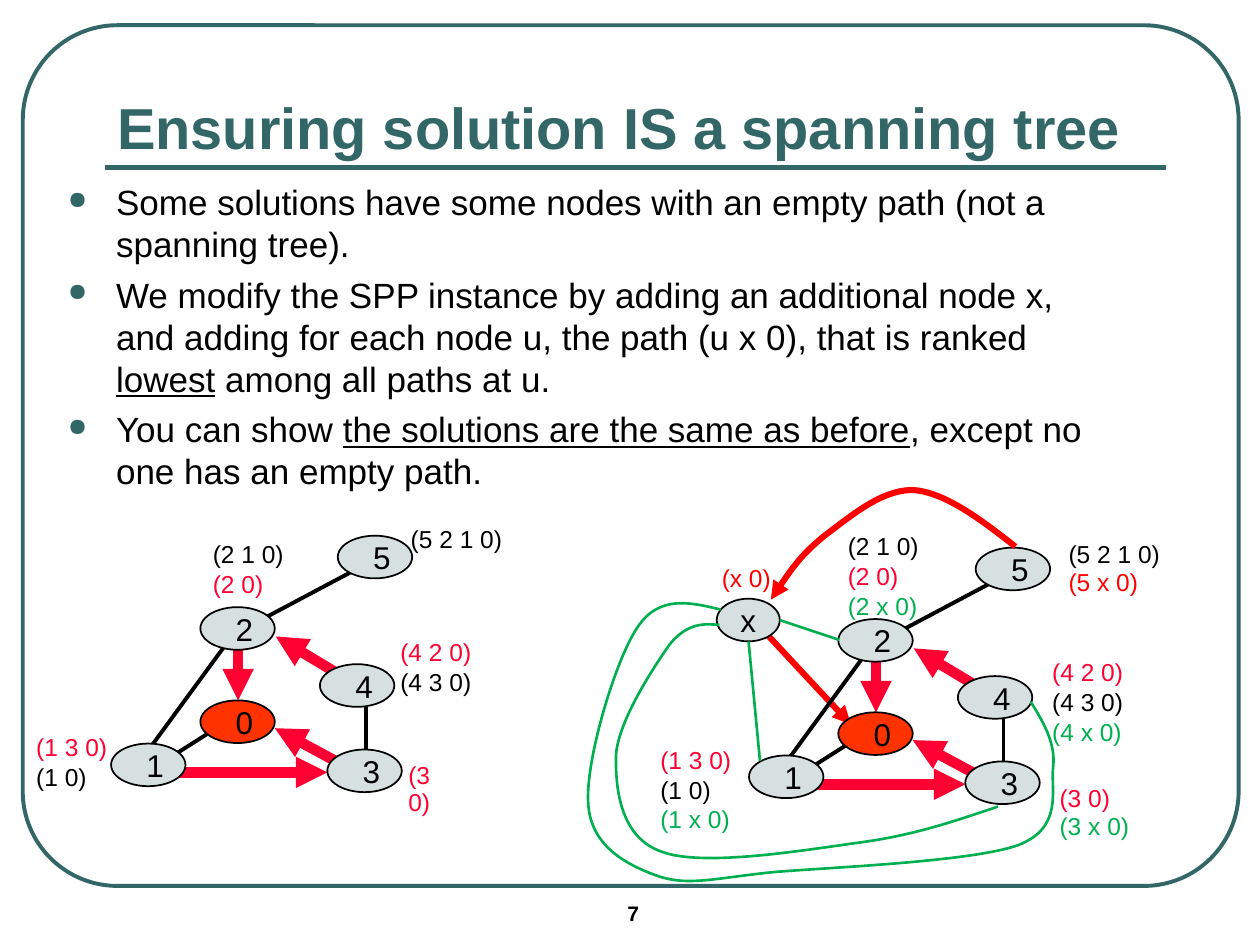
from dataclasses import dataclass

from lxml.etree import SubElement
from pptx import Presentation
from pptx.dml.color import RGBColor
from pptx.enum.shapes import MSO_CONNECTOR, MSO_SHAPE
from pptx.enum.text import MSO_ANCHOR, MSO_AUTO_SIZE, PP_ALIGN
from pptx.oxml.ns import qn
from pptx.util import Cm, Pt


@dataclass(frozen=True)
class Theme:
    font: str = "Arial"
    teal: str = "336666"
    black: str = "000000"
    node: str = "D6E0E0"
    root: str = "FF3300"
    crimson: str = "FF0033"
    red: str = "FF0000"
    green: str = "00B050"
    title_size: int = 33
    body_size: int = 20
    node_size: int = 18
    label_size: int = 14
    page_size: int = 12


THEME = Theme()

# Lengths below are centimetres; the second graph is the first one shifted.
SECOND_GRAPH = (12.86, 0.24)
NODE_SIZE = (1.5, 0.86)
NODES = {"5": (6.81, 10.8), "0": (4.04, 14.12), "3": (6.6, 15.11),
         "4": (6.45, 13.39), "2": (4.04, 12.24), "1": (2.24, 14.99)}
EDGES = [((5.16, 12.55), (7.42, 11.35)), ((7.37, 13.97), (7.37, 15.57)),
         ((4.67, 12.83), (3.0, 15.11)), ((4.8, 14.4), (3.43, 15.27))]
CHOSEN_EDGES = [((7.21, 13.82), (5.56, 12.83)), ((4.8, 12.83), (4.8, 14.12)),
                ((6.91, 15.42), (5.54, 14.68)), ((3.28, 15.57), (6.6, 15.57))]

# Path labels: position, lines with colours, line spacing after the first line
K, C, R, G = THEME.black, THEME.crimson, THEME.red, THEME.green
LABELS = [
    ((8.03, 10.49), [("(5 2 1 0)", K)], 1),
    ((4.04, 10.8), [("(2 1 0)", K), ("(2 0)", C)], 1),
    ((0.48, 14.68), [("(1 3 0)", C), ("(1 0)", K)], 1),
    ((7.98, 15.24), [("(3 0)", C)], 1),
    ((7.82, 12.78), [("(4 2 0)", C), ("(4 3 0)", K)], 1),
    ((21.29, 10.8), [("(5 2 1 0)", K), ("(5 x 0)", R)], 0.93),
    ((16.84, 10.64), [("(2 1 0)", K), ("(2 0)", C), ("(2 x 0)", G)], 1),
    ((13.06, 14.94), [("(1 3 0)", C), ("(1 0)", K), ("(1 x 0)", G)], 1),
    ((21.11, 15.72), [("(3 0)", C), ("(3 x 0)", G)], 0.93),
    ((20.96, 13.18), [("(4 2 0)", C), ("(4 3 0)", K), ("(4 x 0)", G)], 1),
    ((14.3, 11.28), [("(x 0)", R)], 1),
]

# Curves: start point, then two control points and an end point per segment
CURVE_5_TO_X = [
    (20.47, 11.02), (19.76, 10.46), (19.05, 9.93), (18.42, 9.88),
    (17.78, 9.86), (17.15, 10.41), (16.66, 10.77),
    (16.18, 11.15), (15.85, 11.61), (15.54, 12.09)]
CURVE_3_TO_X = [
    (20.12, 16.26), (19.28, 16.54), (18.44, 16.84), (17.3, 16.99),
    (16.15, 17.15), (14.15, 17.48), (13.34, 17.17),
    (12.52, 16.89), (12.4, 15.93), (12.42, 15.21),
    (12.47, 14.53), (13.18, 13.44), (13.51, 12.98),
    (13.87, 12.55), (14.2, 12.57), (14.5, 12.6)]
CURVE_4_TO_X = [
    (20.78, 14.15), (21.03, 14.55), (21.29, 14.99), (21.23, 15.47),
    (21.18, 15.93), (21.44, 16.69), (20.52, 17.04),
    (19.58, 17.37), (16.84, 17.48), (15.62, 17.58),
    (14.4, 17.7), (13.87, 17.88), (13.23, 17.65),
    (12.6, 17.42), (11.91, 17.04), (11.86, 16.21),
    (11.79, 15.37), (12.4, 13.31), (12.85, 12.65),
    (13.28, 11.99), (13.92, 12.14), (14.53, 12.29)]

# Bullets: runs with their underline state
BULLETS = [
    [("Some solutions have some nodes with an empty path (not a spanning tree).", False)],
    [("We modify the SPP instance by adding an additional node x, and adding "
      "for each node u, the path (u x 0), that is ranked ", False),
     ("lowest", True), (" among all paths at u.", False)],
    [("You can show ", False), ("the solutions are the same as before", True),
     (", except no one has an empty path.", False)],
]


def set_font(paragraph, size, color=THEME.black, bold=False):
    font = paragraph.font
    font.name, font.size, font.bold = THEME.font, Pt(size), bold
    font.color.rgb = RGBColor.from_string(color)


def style_line(shape, color, width, arrow=False):
    shape.line.color.rgb = RGBColor.from_string(color)
    shape.line.width = Pt(width)
    if arrow:
        SubElement(shape.line._get_or_add_ln(), qn("a:tailEnd"), type="triangle")


def add_line(slide, start, end, color, width, arrow=False, offset=(0, 0)):
    points = [Cm(value + shift) for point in (start, end)
              for value, shift in zip(point, offset)]
    connector = slide.shapes.add_connector(MSO_CONNECTOR.STRAIGHT, *points)
    style_line(connector, color, width, arrow)
    SubElement(connector._element.spPr, qn("a:effectLst"))


def add_curve(slide, points, color, width, arrow=False):
    corners = [(Cm(x), Cm(y)) for x, y in points]
    builder = slide.shapes.build_freeform(*corners[0])
    builder.add_line_segments(corners[1:], close=False)
    shape = builder.convert_to_shape()
    shape.shadow.inherit = False
    shape.fill.background()
    style_line(shape, color, width, arrow)
    # Merge each three straight steps into one Bézier segment
    outline = next(shape._element.iter(qn("a:moveTo"))).getparent()
    steps = outline.findall(qn("a:lnTo"))
    for first in range(0, len(steps), 3):
        bezier = SubElement(outline, qn("a:cubicBezTo"))
        for step in steps[first:first + 3]:
            bezier.append(step[0])
            outline.remove(step)


def add_node(slide, name, left, top, width=NODE_SIZE[0], fill=THEME.node, shift=0.28):
    shape = slide.shapes.add_shape(
        MSO_SHAPE.OVAL, Cm(left), Cm(top), Cm(width), Cm(NODE_SIZE[1]))
    shape.shadow.inherit = False
    shape.fill.solid()
    shape.fill.fore_color.rgb = RGBColor.from_string(fill)
    style_line(shape, THEME.black, 1)
    frame = shape.text_frame
    frame.word_wrap = False
    frame.vertical_anchor = MSO_ANCHOR.MIDDLE
    frame.margin_left, frame.margin_right = Cm(shift), 0
    frame.margin_top = frame.margin_bottom = 0
    paragraph = frame.paragraphs[0]
    paragraph.text = name
    paragraph.alignment = PP_ALIGN.CENTER
    set_font(paragraph, THEME.node_size)


def add_text(slide, left, top, width, height):
    frame = slide.shapes.add_textbox(Cm(left), Cm(top), Cm(width), Cm(height)).text_frame
    frame.word_wrap = True
    return frame


def add_label(slide, position, lines, spacing):
    width = 0.44 + 0.215 * max(len(text) for text, _ in lines)
    frame = add_text(slide, *position, width, 0.22 + 0.59 * len(lines))
    frame.word_wrap = False
    frame.auto_size = MSO_AUTO_SIZE.SHAPE_TO_FIT_TEXT
    for index, (text, color) in enumerate(lines):
        paragraph = frame.add_paragraph() if index else frame.paragraphs[0]
        paragraph.text = text
        paragraph.line_spacing = spacing if index else 0.93
        set_font(paragraph, THEME.label_size, color)


def add_bullets(slide):
    frame = add_text(slide, 1.12, 3.51, 21.39, 6.5)
    for index, runs in enumerate(BULLETS):
        paragraph = frame.add_paragraph() if index else frame.paragraphs[0]
        paragraph.space_before = Pt(5)
        set_font(paragraph, THEME.body_size)
        for text, underline in runs:
            run = paragraph.add_run()
            run.text = text
            if underline:
                run.font.underline = True
        properties = paragraph._p.get_or_add_pPr()
        properties.set("marL", str(Cm(0.97)))
        properties.set("indent", str(-Cm(0.97)))
        default_font = properties.find(qn("a:defRPr"))
        color = SubElement(properties, qn("a:buClr"))
        SubElement(color, qn("a:srgbClr"), val=THEME.teal)
        SubElement(properties, qn("a:buSzPct"), val="70000")
        SubElement(properties, qn("a:buChar"), char="●")
        properties.append(default_font)


def add_graph(slide, offset=(0, 0)):
    for start, end in EDGES:
        add_line(slide, start, end, THEME.black, 2.25, offset=offset)
    for start, end in CHOSEN_EDGES:
        add_line(slide, start, end, THEME.crimson, 6, True, offset)
    for name, (left, top) in NODES.items():
        add_node(slide, name, left + offset[0], top + offset[1],
                 fill=THEME.root if name == "0" else THEME.node)


def add_frame_and_title(slide):
    border = slide.shapes.add_shape(
        MSO_SHAPE.ROUNDED_RECTANGLE, Cm(0.46), Cm(0.51), Cm(24.51), Cm(17.35))
    border.adjustments[0] = 0.11
    border.shadow.inherit = False
    border.fill.background()
    style_line(border, THEME.teal, 2.25)
    add_line(slide, (2.11, 3.38), (23.5, 3.38), THEME.teal, 3)
    title = add_text(slide, 2.11, 1.47, 21.39, 1.9)
    title.vertical_anchor = MSO_ANCHOR.BOTTOM
    title.text = "Ensuring solution IS a spanning tree"
    set_font(title.paragraphs[0], THEME.title_size, THEME.teal, True)
    page = add_text(slide, 12.4, 18.03, 2.97, 0.84)
    page.text = "7"
    set_font(page.paragraphs[0], THEME.page_size, bold=True)


def main():
    presentation = Presentation()
    presentation.slide_width, presentation.slide_height = Cm(25.4), Cm(19.05)
    slide = presentation.slides.add_slide(presentation.slide_layouts[6])
    add_frame_and_title(slide)
    add_bullets(slide)
    # Graphs without and with the additional node x
    add_line(slide, (15.24, 12.55), (17.15, 14.6), THEME.red, 3.5, True)
    add_graph(slide)
    add_graph(slide, SECOND_GRAPH)
    for position, lines, spacing in LABELS:
        add_label(slide, position, lines, spacing)
    # Node x and its paths
    add_node(slide, "x", 14.45, 12.07, width=1.27, shift=0)
    add_curve(slide, CURVE_5_TO_X, THEME.red, 3.5, True)
    add_line(slide, (16.92, 12.9), (15.72, 12.5), THEME.green, 1.5)
    add_line(slide, (15.32, 15.34), (15.09, 12.93), THEME.green, 1.5)
    for curve in (CURVE_3_TO_X, CURVE_4_TO_X):
        add_curve(slide, curve, THEME.green, 1.5)
    presentation.save("out.pptx")


if __name__ == "__main__":
    main()
